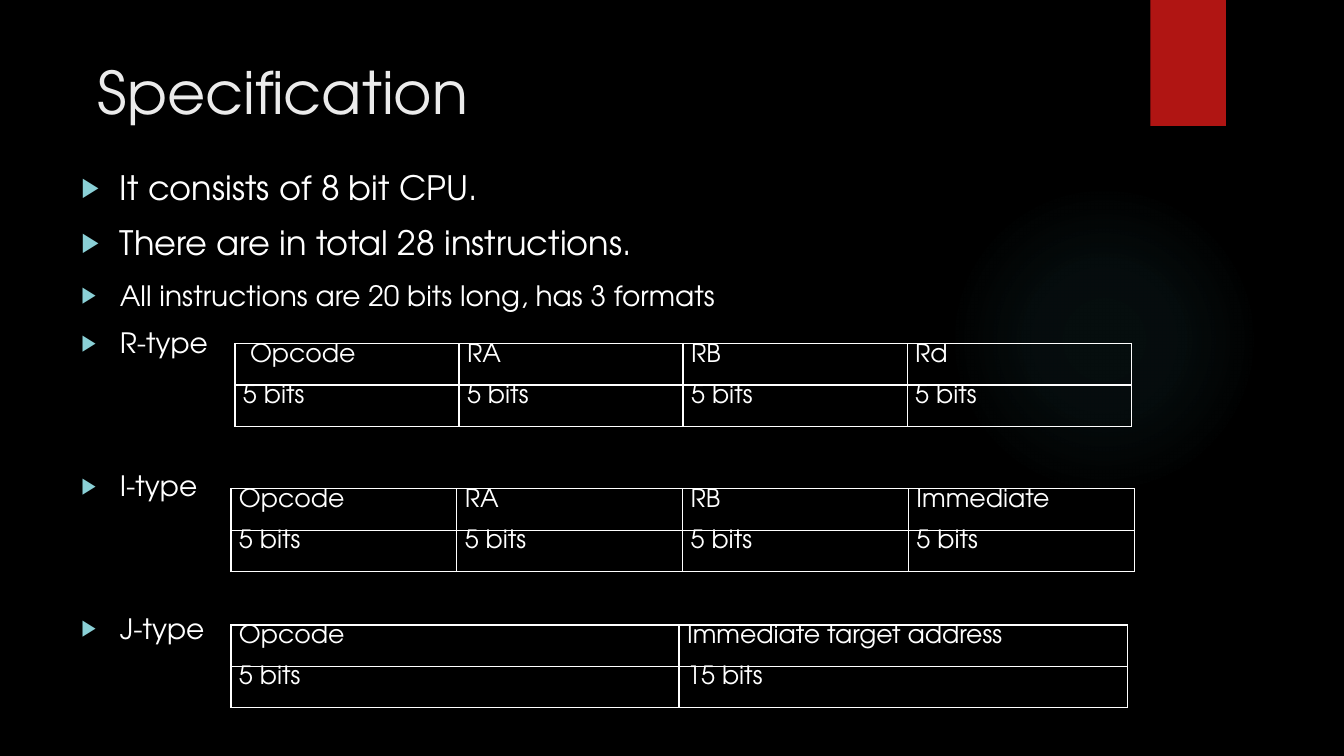
from lxml import etree
from pptx import Presentation
from pptx import util as u
from pptx.dml.color import RGBColor
from pptx.enum import shapes, text
from pptx.oxml import parse_xml
from pptx.oxml.ns import nsdecls, qn

WIDTH, HEIGHT = u.Inches(13.33), u.Inches(7.5)
FONT = "TeX Gyre Adventor"
BLACK = RGBColor(0x00, 0x00, 0x00)
WHITE = RGBColor(0xFF, 0xFF, 0xFF)
TITLE_GRAY = RGBColor(0xEB, 0xEB, 0xEB)
RED = RGBColor(0xB0, 0x15, 0x13)
GLOW_TEAL = RGBColor(0x50, 0xB9, 0xC1)
BULLET_BLUE = RGBColor(0x8A, 0xD0, 0xD6)
LEFT = 0.71
ROW_HEIGHT = 0.41
BITS = "5 bits"
FORMAT_TABLES = [
    (2.33, 3.41, 8.89, [["Opcode", "RA", "RB", "Rd"], [BITS] * 4]),
    (2.29, 4.85, 8.96, [["Opcode", "RA", "RB", "Immediate"], [BITS] * 4]),
    (2.29, 6.2, 8.89, [["Opcode", "Immediate target address"], [BITS, "15 bits"]]),
]


def box(left, top, width, height):
    return [u.Inches(length) for length in (left, top, width, height)]


def write(paragraph, content, size=18, color=WHITE, before=0):
    paragraph.alignment = text.PP_ALIGN.LEFT
    paragraph.space_before = u.Pt(before)
    run = paragraph.add_run()
    run.text = content
    run.font.name = FONT
    run.font.size = u.Pt(size)
    run.font.color.rgb = color


def add_bullet(paragraph):
    properties = paragraph._p.get_or_add_pPr()
    properties.set("marL", str(u.Inches(0.38)))
    properties.set("indent", str(u.Inches(-0.38)))
    color = etree.SubElement(properties, qn("a:buClr"))
    etree.SubElement(color, qn("a:srgbClr"), val=str(BULLET_BLUE))
    etree.SubElement(properties, qn("a:buSzPct"), val="80000")
    etree.SubElement(properties, qn("a:buFont"), typeface="Arial")
    etree.SubElement(properties, qn("a:buChar"), char="▶")


def add_bullet_list(slide, place, items, size):
    frame = slide.shapes.add_textbox(*box(*place)).text_frame
    frame.word_wrap = True
    for index, (content, before) in enumerate(items):
        paragraph = frame.add_paragraph() if index else frame.paragraphs[0]
        write(paragraph, content, size=size, before=before)
        add_bullet(paragraph)


def add_plain_shape(slide, kind, place, color):
    shape = slide.shapes.add_shape(kind, *box(*place))
    shape.shadow.inherit = False
    shape.fill.solid()
    shape.fill.fore_color.rgb = color
    shape.line.fill.background()
    return shape


def add_glow(slide):
    shape = add_plain_shape(slide, shapes.MSO_SHAPE.OVAL, (9.41, 1.83, 3.08, 3.08), GLOW_TEAL)
    stops = "".join(
        f'<a:gs pos="{position * 1000}"><a:srgbClr val="{GLOW_TEAL}">'
        f'<a:alpha val="{alpha * 1000}"/></a:srgbClr></a:gs>'
        for position, alpha in ((0, 7), (36, 6), (69, 0), (100, 0))
    )
    gradient = parse_xml(
        f'<a:gradFill {nsdecls("a")}><a:gsLst>{stops}</a:gsLst><a:path path="circle">'
        '<a:fillToRect l="50000" t="50000" r="50000" b="50000"/></a:path></a:gradFill>'
    )
    properties = shape._element.spPr
    properties.replace(properties.find(qn("a:solidFill")), gradient)


def add_borders(cell):
    properties = cell._tc.get_or_add_tcPr()
    for index, side in enumerate(("lnL", "lnR", "lnT", "lnB")):
        line = parse_xml(
            f'<a:{side} {nsdecls("a")} w="{u.Pt(1)}"><a:solidFill>'
            f'<a:srgbClr val="{WHITE}"/></a:solidFill></a:{side}>'
        )
        properties.insert(index, line)


def add_format_table(slide, left, top, width, rows):
    place = box(left, top, width, ROW_HEIGHT * len(rows))
    table = slide.shapes.add_table(len(rows), len(rows[0]), *place).table
    table.first_row = table.horz_banding = False
    for column in table.columns:
        column.width = u.Inches(width / len(rows[0]))
    for row, contents in zip(table.rows, rows):
        row.height = u.Inches(ROW_HEIGHT)
        for cell, content in zip(row.cells, contents):
            cell.fill.background()
            cell.margin_left = cell.margin_right = u.Inches(0.08)
            cell.margin_top = cell.margin_bottom = 0
            write(cell.text_frame.paragraphs[0], content)
            add_borders(cell)
    return table


def set_title(slide, content):
    title = slide.shapes.title
    title.left, title.top, title.width, title.height = box(LEFT, 0.5, 10.29, 1.53)
    frame = title.text_frame
    frame.vertical_anchor = text.MSO_ANCHOR.TOP
    frame.margin_left = u.Inches(0.26)
    write(frame.paragraphs[0], content, size=42, color=TITLE_GRAY)


def main():
    presentation = Presentation()
    presentation.slide_width, presentation.slide_height = WIDTH, HEIGHT
    slide = presentation.slides.add_slide(presentation.slide_layouts[5])
    slide.background.fill.solid()
    slide.background.fill.fore_color.rgb = BLACK
    add_glow(slide)
    add_plain_shape(slide, shapes.MSO_SHAPE.RECTANGLE, (11.41, 0, 0.75, 1.25), RED)
    set_title(slide, "Specification")
    add_bullet_list(slide, (LEFT, 1.61, 10.28, 5.22), [
        ("It consists of 8 bit CPU.", 10),
        ("There are in total 28 instructions.", 10),
    ], size=24)
    add_bullet_list(slide, (LEFT, 2.71, 9.5, 4.79), [
        ("All instructions are 20 bits long, has 3 formats", 10),
        ("R-type", 10),
        ("I-type", 78),
        ("J-type", 78),
    ], size=20)
    tables = [add_format_table(slide, *layout) for layout in FORMAT_TABLES]
    tables[0].cell(0, 0).margin_left = u.Inches(0.15)
    presentation.save("out.pptx")


if __name__ == "__main__":
    main()
